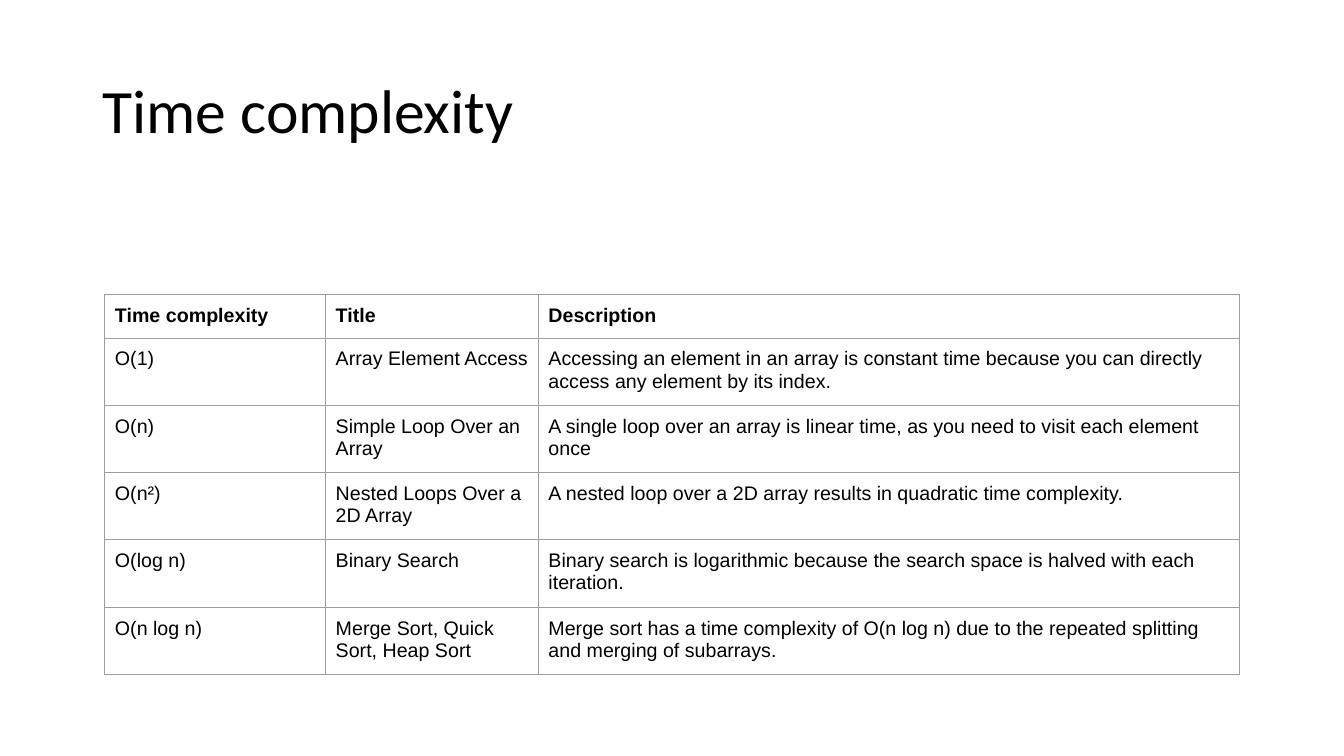
from lxml.etree import SubElement
from pptx import Presentation
from pptx.dml.color import RGBColor
from pptx.enum.text import MSO_ANCHOR
from pptx.oxml.ns import qn
from pptx.util import Inches, Pt

BLACK = RGBColor(0x00, 0x00, 0x00)
GREY = RGBColor(0x9E, 0x9E, 0x9E)

COLUMN_WIDTHS = (2.19, 2.11, 6.95)
ROW_HEIGHT = 0.42
ROWS = [
    ("Time complexity", "Title", "Description"),
    ("O(1)", "Array Element Access",
     "Accessing an element in an array is constant time because you can "
     "directly access any element by its index."),
    ("O(n)", "Simple Loop Over an Array",
     "A single loop over an array is linear time, as you need to visit each "
     "element once"),
    ("O(n²)", "Nested Loops Over a 2D Array",
     "A nested loop over a 2D array results in quadratic time complexity."),
    ("O(log n)", "Binary Search",
     "Binary search is logarithmic because the search space is halved with "
     "each iteration."),
    ("O(n log n)", "Merge Sort, Quick Sort, Heap Sort",
     "Merge sort has a time complexity of O(n log n) due to the repeated "
     "splitting and merging of subarrays."),
]


def style_font(p, name, size, bold=False):
    for r in p.runs:
        r.font.name = name
        r.font.size = Pt(size)
        r.font.bold = bold
        r.font.color.rgb = BLACK


def add_title(slide, text, left, top, width, height):
    sp = slide.shapes.add_textbox(Inches(left), Inches(top),
                                  Inches(width), Inches(height))
    tf = sp.text_frame
    tf.word_wrap = True
    tf.vertical_anchor = MSO_ANCHOR.MIDDLE
    p = tf.paragraphs[0]
    p.text = text
    p.line_spacing = 0.9
    style_font(p, "Calibri", 44)


def add_borders(cell):
    tc_pr = cell._tc.get_or_add_tcPr()
    for side in ("a:lnL", "a:lnR", "a:lnT", "a:lnB"):
        ln = SubElement(tc_pr, qn(side), w=str(Pt(0.75)))
        fill = SubElement(ln, qn("a:solidFill"))
        SubElement(fill, qn("a:srgbClr"), val=str(GREY))


def fill_cell(cell, text, bold):
    cell.margin_left = cell.margin_top = cell.margin_bottom = Inches(0.1)
    cell.margin_right = Inches(0.09)
    add_borders(cell)
    cell.fill.background()
    cell.text_frame.text = text
    style_font(cell.text_frame.paragraphs[0], "Arial", 14, bold)


def add_complexity_table(slide, left, top):
    table = slide.shapes.add_table(
        len(ROWS), len(COLUMN_WIDTHS), Inches(left), Inches(top),
        Inches(sum(COLUMN_WIDTHS)), Inches(ROW_HEIGHT * len(ROWS))).table
    table.first_row = table.horz_banding = False
    for column, width in zip(table.columns, COLUMN_WIDTHS):
        column.width = Inches(width)
    for i, texts in enumerate(ROWS):
        table.rows[i].height = Inches(ROW_HEIGHT)
        for j, text in enumerate(texts):
            fill_cell(table.cell(i, j), text, bold=i == 0)


def main():
    prs = Presentation()
    prs.slide_width, prs.slide_height = Inches(13.33), Inches(7.5)
    slide = prs.slides.add_slide(prs.slide_layouts[6])
    add_title(slide, "Time complexity", 0.92, 0.4, 11.5, 1.45)
    add_complexity_table(slide, 1.04, 2.92)
    prs.save("out.pptx")


if __name__ == "__main__":
    main()
